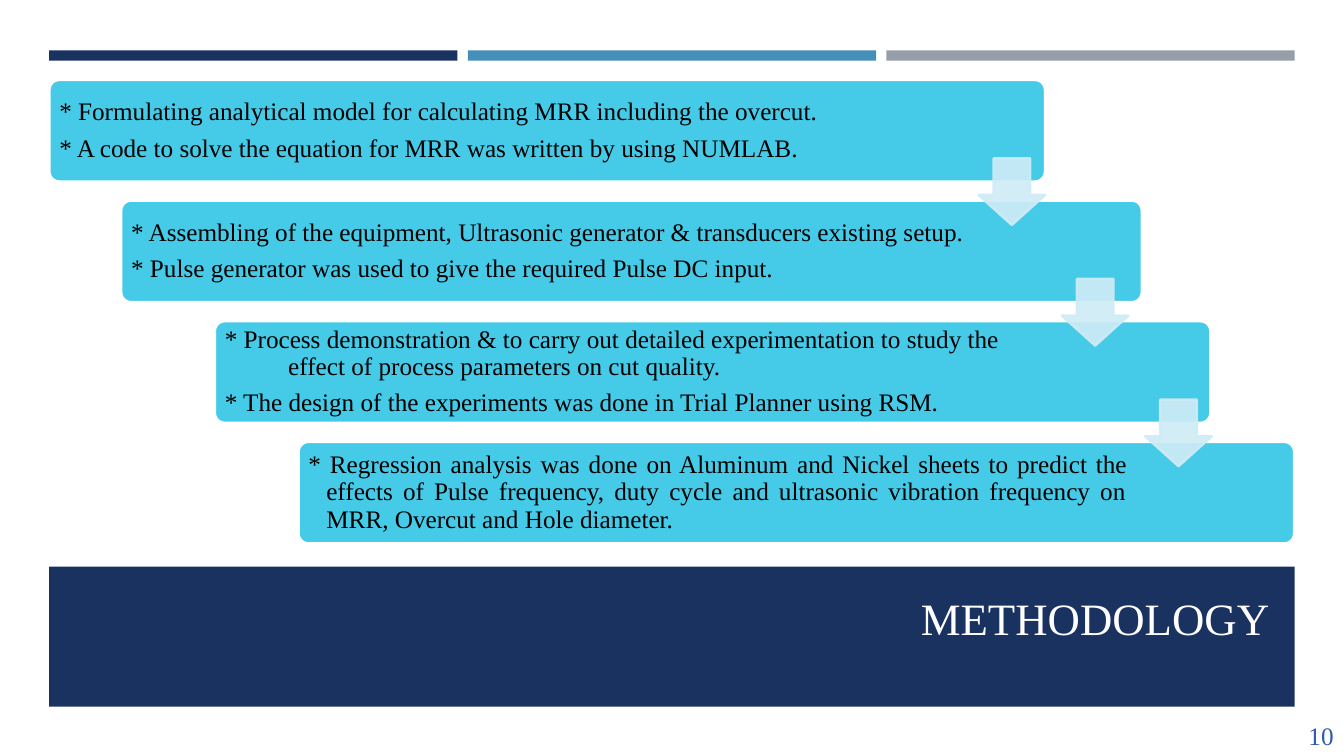
from dataclasses import dataclass

from lxml import etree
from pptx import Presentation
from pptx.dml.color import RGBColor
from pptx.enum import shapes as sh, text as tx
from pptx.oxml import ns
from pptx.util import Cm, Pt


@dataclass(frozen=True)
class Theme:
    navy: str = "1A3260"
    blue: str = "4590B8"
    gray: str = "969FA7"
    card: str = "45CBE8"
    arrow: str = "CFECF6"
    white: str = "FFFFFF"
    black: str = "000000"
    title: str = "FFFEFF"
    num: str = "2F5AAC"
    font: str = "Times New Roman"
    body: int = 18
    head: int = 32


T = Theme()
KIND = sh.MSO_SHAPE
LEFT, RIGHT, FULL = (tx.PP_ALIGN.LEFT, tx.PP_ALIGN.RIGHT, tx.PP_ALIGN.JUSTIFY)

# left edge, width, alignment, hanging indent of the first paragraph, paragraphs
STEPS = [
    (1.24, 25.1, LEFT, 0, [
        "* Formulating analytical model for calculating MRR including the overcut.",
        "* A code to solve the equation for MRR was written by using NUMLAB."]),
    (3.05, 25.73, FULL, 0, [
        "* Assembling of the equipment, Ultrasonic generator & transducers existing setup.",
        "* Pulse generator was used to give the required Pulse DC input."]),
    (5.41, 25.1, LEFT, 1.6, [
        "* Process demonstration & to carry out detailed experimentation to study the\v"
        "effect of process parameters on cut quality.",
        "* The design of the experiments was done in Trial Planner using RSM."]),
    (7.52, 25.1, FULL, 0.45, [
        "* Regression analysis was done on Aluminum and Nickel sheets to predict the \v"
        "effects of Pulse frequency, duty cycle and ultrasonic vibration frequency on \v"
        "MRR, Overcut and Hole diameter."]),
]


def write(frame, paras, size=T.body, color=T.black, align=LEFT,
          line=1.0, after=0, hang=0):
    frame.word_wrap = True
    frame.auto_size = tx.MSO_AUTO_SIZE.NONE
    frame.vertical_anchor = tx.MSO_ANCHOR.MIDDLE
    for i, words in enumerate(paras):
        para = frame.paragraphs[0] if i == 0 else frame.add_paragraph()
        para.text = words
        para.alignment = align
        para.line_spacing = line
        para.space_before, para.space_after = Pt(0), Pt(after)
        if hang and i == 0:
            props = para._p.get_or_add_pPr()
            props.set("marL", str(Cm(hang)))
            props.set("indent", str(-Cm(hang)))
        for run in para.runs:
            run.font.name, run.font.size = T.font, Pt(size)
            run.font.color.rgb = RGBColor.from_string(color)


def block(slide, kind, box, fill, edge=None, width=0):
    shape = slide.shapes.add_shape(kind, *map(Cm, box))
    shape.shadow.inherit = False
    shape.fill.solid()
    shape.fill.fore_color.rgb = RGBColor.from_string(fill)
    if edge:
        shape.line.color.rgb = RGBColor.from_string(edge)
        shape.line.width = Pt(width)
    else:
        shape.line.fill.background()
    return shape


def bars(slide, x, y, w, h):
    """Three equal strips with even gaps across the box."""
    gap = 0.26
    each = (w - 2 * gap) / 3
    for i, fill in enumerate((T.navy, T.blue, T.gray)):
        block(slide, KIND.RECTANGLE, (x + i * (each + gap), y, each, h), fill)


def card(slide, x, y, w, h, align, hang, paras):
    shape = block(slide, KIND.ROUNDED_RECTANGLE, (x, y, w, h), T.card, T.white, 2)
    shape.adjustments[0] = 0.1
    frame = shape.text_frame
    frame.margin_left = frame.margin_top = frame.margin_bottom = Cm(0.18)
    frame.margin_right = Cm(3.9)
    write(frame, paras, align=align, line=0.9, after=6.5, hang=hang)


def arrow(slide, x, y, size):
    shape = block(slide, KIND.DOWN_ARROW, (x, y, size, size), T.arrow, T.arrow, 1.75)
    shape.adjustments[0], shape.adjustments[1] = 0.55, 0.45
    for tint in shape._element.spPr.iter(ns.qn("a:srgbClr")):
        etree.SubElement(tint, ns.qn("a:alpha")).set("val", "90000")


def stairs(slide, y, pitch):
    """Cards going down to the right, with an arrow across each gap."""
    for i, (x, w, align, hang, paras) in enumerate(STEPS):
        card(slide, x, y + i * pitch, w, 2.57, align, hang, paras)
    for i in range(len(STEPS) - 1):
        arrow(slide, 24.66 + i * 2.1, y + 1.98 + i * pitch, 1.68)


def banner(slide, x, y, w, h):
    block(slide, KIND.RECTANGLE, (x, y, w, h), T.navy)
    title = slide.shapes.title
    title.left, title.top = Cm(x + w - 16.68), Cm(y + 0.33)
    title.width, title.height = Cm(16.3), Cm(1.9)
    write(title.text_frame, ["METHODOLOGY"], T.head, T.title, RIGHT)
    tree = title.element.getparent()
    tree.append(title.element)  # bring the title in front of the band


def number(slide, x, y, w, h):
    box = slide.shapes.add_textbox(*map(Cm, (x, y, w, h)))
    write(box.text_frame, ["10"], color=T.num, align=RIGHT)


def main():
    deck = Presentation()
    deck.slide_width, deck.slide_height = Cm(33.87), Cm(19.05)
    slide = deck.slides.add_slide(deck.slide_layouts[5])
    bars(slide, 1.24, 1.27, 31.39, 0.26)
    stairs(slide, 2.01, 3.04)
    banner(slide, 1.24, 14.28, 31.39, 3.53)
    number(slide, 30.94, 18.03, 2.92, 1.02)
    deck.save("out.pptx")


if __name__ == "__main__":
    main()
